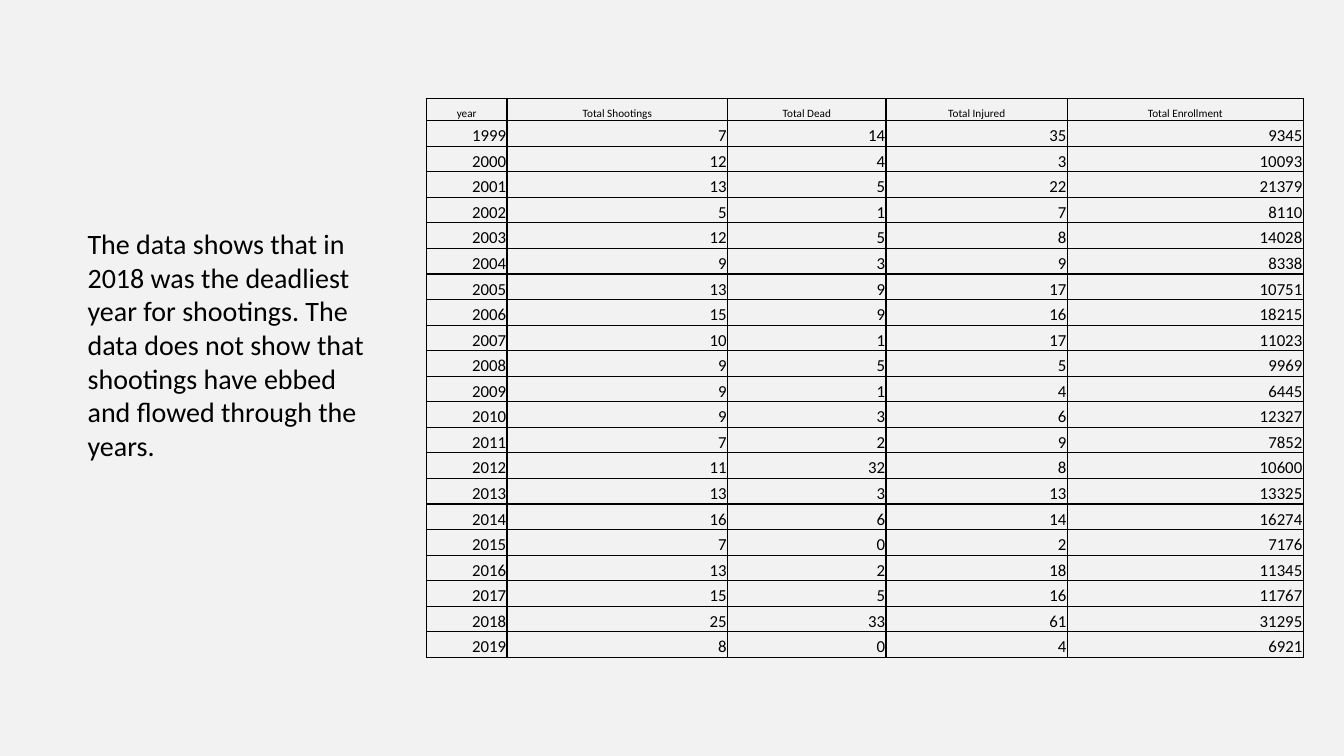
import dataclasses
import typing

import lxml.etree
import pptx
import pptx.dml.color
import pptx.enum.text
import pptx.oxml.ns
import pptx.util

BLACK = pptx.dml.color.RGBColor(0x00, 0x00, 0x00)
PALE_GRAY = pptx.dml.color.RGBColor(0xF2, 0xF2, 0xF2)
FONT = "Calibri"
SLIDE_WIDTH = pptx.util.Inches(13.333)
SLIDE_HEIGHT = pptx.util.Inches(7.5)
ALIGN = pptx.enum.text.PP_ALIGN


@dataclasses.dataclass(frozen=True)
class Area:
    left: float
    top: float
    width: float
    height: float

    def lengths(self) -> tuple[int, int, int, int]:
        return (across(self.left), down(self.top),
                across(self.width), down(self.height))


@dataclasses.dataclass(frozen=True)
class Column:
    heading: str
    width: float


@dataclasses.dataclass(frozen=True)
class YearRecord:
    year: int
    shootings: int
    dead: int
    injured: int
    enrollment: int


COLUMNS = [
    Column("year", 6.0),
    Column("Total Shootings", 16.42),
    Column("Total Dead", 11.78),
    Column("Total Injured", 13.5),
    Column("Total Enrollment", 17.55),
]
RECORDS = [
    YearRecord(1999, 7, 14, 35, 9345),
    YearRecord(2000, 12, 4, 3, 10093),
    YearRecord(2001, 13, 5, 22, 21379),
    YearRecord(2002, 5, 1, 7, 8110),
    YearRecord(2003, 12, 5, 8, 14028),
    YearRecord(2004, 9, 3, 9, 8338),
    YearRecord(2005, 13, 9, 17, 10751),
    YearRecord(2006, 15, 9, 16, 18215),
    YearRecord(2007, 10, 1, 17, 11023),
    YearRecord(2008, 9, 5, 5, 9969),
    YearRecord(2009, 9, 1, 4, 6445),
    YearRecord(2010, 9, 3, 6, 12327),
    YearRecord(2011, 7, 2, 9, 7852),
    YearRecord(2012, 11, 32, 8, 10600),
    YearRecord(2013, 13, 3, 13, 13325),
    YearRecord(2014, 16, 6, 14, 16274),
    YearRecord(2015, 7, 0, 2, 7176),
    YearRecord(2016, 13, 2, 18, 11345),
    YearRecord(2017, 15, 5, 16, 11767),
    YearRecord(2018, 25, 33, 61, 31295),
    YearRecord(2019, 8, 0, 4, 6921),
]
TABLE_AREA = Area(31.73, 13.03, sum(column.width for column in COLUMNS), 74)
HEADER_HEIGHT = 2.93
RECORD_HEIGHT = (TABLE_AREA.height - HEADER_HEIGHT) / len(RECORDS)
COMMENT_AREA = Area(5.78, 29.33, 22.05, 32.8)
COMMENT = (
    "The data shows that in 2018 was the deadliest year for shootings. "
    "The data does not show that shootings have ebbed and flowed through the years."
)


def across(percent: float) -> int:
    return round(SLIDE_WIDTH * percent / 100)


def down(percent: float) -> int:
    return round(SLIDE_HEIGHT * percent / 100)


def write_text(frame: typing.Any, text: str, *, size: float,
               align: ALIGN = ALIGN.LEFT) -> None:
    paragraph = frame.paragraphs[0]
    paragraph.alignment = align
    run = paragraph.add_run()
    run.text = text
    run.font.size = pptx.util.Pt(size)
    run.font.name = FONT
    run.font.color.rgb = BLACK


def add_borders(cell: typing.Any) -> None:
    name = pptx.oxml.ns.qn
    properties = cell._tc.get_or_add_tcPr()
    for side in ("a:lnL", "a:lnR", "a:lnT", "a:lnB"):
        line = lxml.etree.SubElement(properties, name(side), w=str(pptx.util.Pt(1)))
        fill = lxml.etree.SubElement(line, name("a:solidFill"))
        lxml.etree.SubElement(fill, name("a:srgbClr"), val=str(BLACK))


def fill_cell(cell: typing.Any, text: str, size: float, align: ALIGN) -> None:
    cell.margin_left = cell.margin_right = cell.margin_top = pptx.util.Inches(0.01)
    cell.margin_bottom = 0
    cell.vertical_anchor = pptx.enum.text.MSO_ANCHOR.BOTTOM
    add_borders(cell)
    cell.fill.background()
    write_text(cell.text_frame, text, size=size, align=align)


def add_shootings_table(slide: typing.Any) -> None:
    table = slide.shapes.add_table(
        len(RECORDS) + 1, len(COLUMNS), *TABLE_AREA.lengths()).table
    table.first_row = False
    table.horz_banding = False
    for table_column, column in zip(table.columns, COLUMNS):
        table_column.width = across(column.width)
    for index, row in enumerate(table.rows):
        row.height = down(RECORD_HEIGHT if index else HEADER_HEIGHT)
    for cell, column in zip(table.rows[0].cells, COLUMNS):
        fill_cell(cell, column.heading, 8, ALIGN.CENTER)
    for index, record in enumerate(RECORDS, start=1):
        for cell, value in zip(table.rows[index].cells, dataclasses.astuple(record)):
            fill_cell(cell, str(value), 12, ALIGN.RIGHT)


def add_comment(slide: typing.Any) -> None:
    frame = slide.shapes.add_textbox(*COMMENT_AREA.lengths()).text_frame
    frame.word_wrap = True
    frame.auto_size = pptx.enum.text.MSO_AUTO_SIZE.SHAPE_TO_FIT_TEXT
    write_text(frame, COMMENT, size=20)


def main() -> None:
    presentation = pptx.Presentation()
    presentation.slide_width = SLIDE_WIDTH
    presentation.slide_height = SLIDE_HEIGHT
    slide = presentation.slides.add_slide(presentation.slide_layouts[6])
    slide.background.fill.solid()
    slide.background.fill.fore_color.rgb = PALE_GRAY
    add_shootings_table(slide)
    add_comment(slide)
    presentation.save("out.pptx")


if __name__ == "__main__":
    main()
